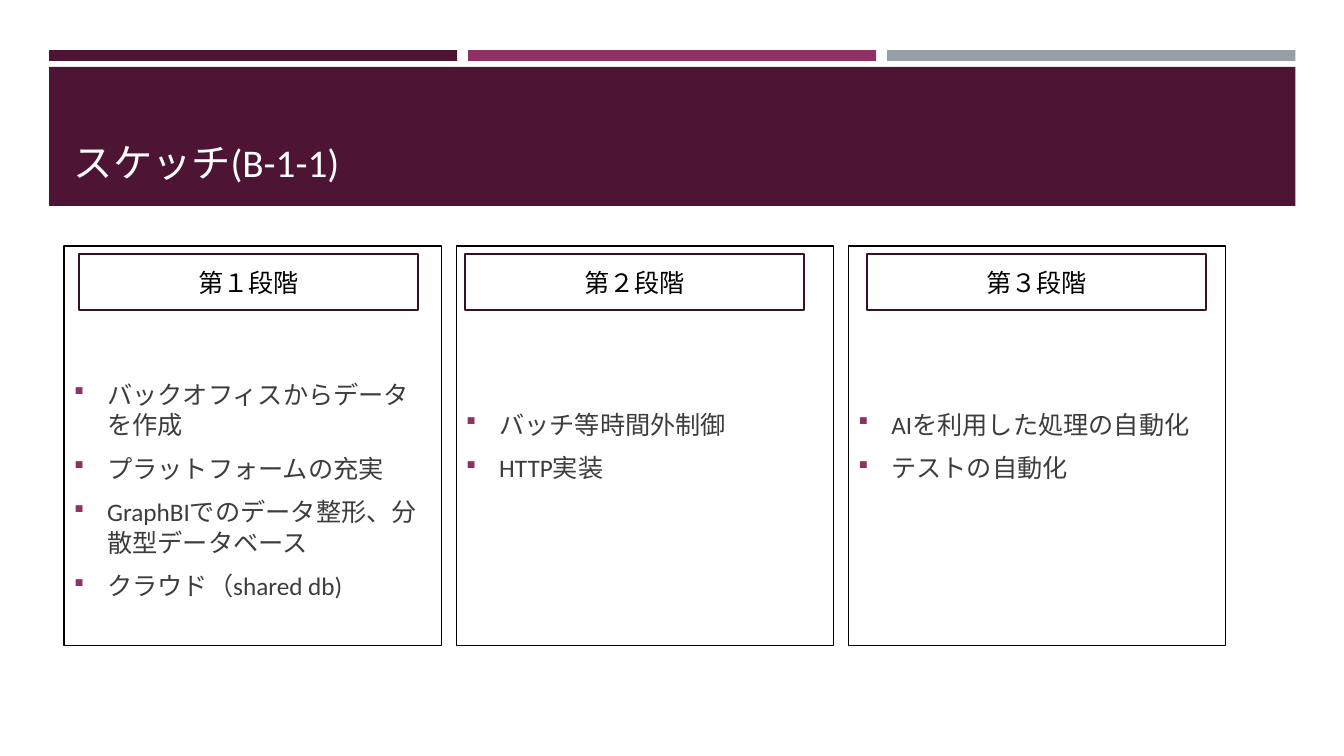
from lxml import etree
from pptx import Presentation
from pptx.dml.color import RGBColor
from pptx.enum.shapes import MSO_SHAPE
from pptx.enum.text import MSO_ANCHOR, PP_ALIGN
from pptx.oxml.ns import qn
from pptx.util import Emu, Inches, Pt

RECTANGLE = MSO_SHAPE.RECTANGLE
MIDDLE = MSO_ANCHOR.MIDDLE
BOTTOM = MSO_ANCHOR.BOTTOM
CENTER = PP_ALIGN.CENTER

EMU_PER_PIXEL = 914400 / 100.8
FONT = "Calibri"
PLUM = "4D1434"
MAGENTA = "903163"
GRAY = "969FA7"
DARK_PLUM = "390F26"
TEXT_GRAY = "3D3D3D"
BLACK = "000000"
WHITE = "FFFFFF"

BAR_PITCH = 419
PANEL_PITCH = 392
STAGES = [
    ("第１段階", 79, 93, [
        "バックオフィスからデータを作成",
        "プラットフォームの充実",
        "GraphBIでのデータ整形、分散型データベース",
        "クラウド（shared db)",
    ]),
    ("第２段階", 465, 5, ["バッチ等時間外制御", "HTTP実装"]),
    ("第３段階", 867, 5, ["AIを利用した処理の自動化", "テストの自動化"]),
]


def px(length):
    return Emu(round(length * EMU_PER_PIXEL))


def color(value):
    return RGBColor.from_string(value)


def add_box(slide, left, top, width, height, fill=None, line=None, weight=0.75):
    box = slide.shapes.add_shape(RECTANGLE, px(left), px(top), px(width), px(height))
    box.shadow.inherit = False
    if fill:
        box.fill.solid()
        box.fill.fore_color.rgb = color(fill)
    else:
        box.fill.background()
    if line:
        box.line.color.rgb = color(line)
        box.line.width = Pt(weight)
    else:
        box.line.fill.background()
    return box


def write(para, text, size, text_color, align=None):
    para.text = text
    para.alignment = align
    para.font.size = Pt(size)
    para.font.color.rgb = color(text_color)
    para.font.name = FONT
    defaults = para._p.pPr.find(qn("a:defRPr"))
    etree.SubElement(defaults, qn("a:ea"), typeface=FONT)


def add_bullet(para):
    para.space_before = Pt(3.6)
    para.space_after = Pt(6)
    properties = para._p.pPr
    properties.set("marL", str(Inches(0.33)))
    properties.set("indent", str(-Inches(0.33)))
    bullet_color = etree.Element(qn("a:buClr"))
    etree.SubElement(bullet_color, qn("a:srgbClr"), val=MAGENTA)
    defaults = properties.find(qn("a:defRPr"))
    for element in (
        bullet_color,
        etree.Element(qn("a:buSzPct"), val="92000"),
        etree.Element(qn("a:buFont"), typeface="Wingdings", charset="2"),
        etree.Element(qn("a:buChar"), char="§"),
    ):
        defaults.addprevious(element)


def add_header(slide, title):
    for index, fill in enumerate((PLUM, MAGENTA, GRAY)):
        add_box(slide, 49 + index * BAR_PITCH, 50, 408, 11, fill)
    add_box(slide, 49, 67, 1246, 139, PLUM)
    box = slide.shapes.add_textbox(px(64), px(81), px(1216), px(109))
    frame = box.text_frame
    frame.word_wrap = True
    frame.vertical_anchor = BOTTOM
    write(frame.paragraphs[0], title, 28, WHITE)


def add_panel(slide, left, inset, items):
    frame = add_box(slide, left, 246, 377, 400, line=BLACK).text_frame
    frame.word_wrap = True
    frame.vertical_anchor = MIDDLE
    frame.margin_top = px(inset)
    for index, item in enumerate(items):
        para = frame.add_paragraph() if index else frame.paragraphs[0]
        write(para, item, 18, TEXT_GRAY, PP_ALIGN.LEFT)
        add_bullet(para)


def add_label(slide, left, text):
    box = add_box(slide, left, 254, 339, 56, WHITE, DARK_PLUM, 1.75)
    box.text_frame.vertical_anchor = MIDDLE
    write(box.text_frame.paragraphs[0], text, 18, BLACK, CENTER)


def main():
    deck = Presentation()
    deck.slide_width = Inches(13.33)
    deck.slide_height = Inches(7.5)
    slide = deck.slides.add_slide(deck.slide_layouts[6])
    add_header(slide, "スケッチ(B-1-1)")
    for index, (name, label_left, inset, items) in enumerate(STAGES):
        add_panel(slide, 64 + index * PANEL_PITCH, inset, items)
        add_label(slide, label_left, name)
    deck.save("out.pptx")


main()
